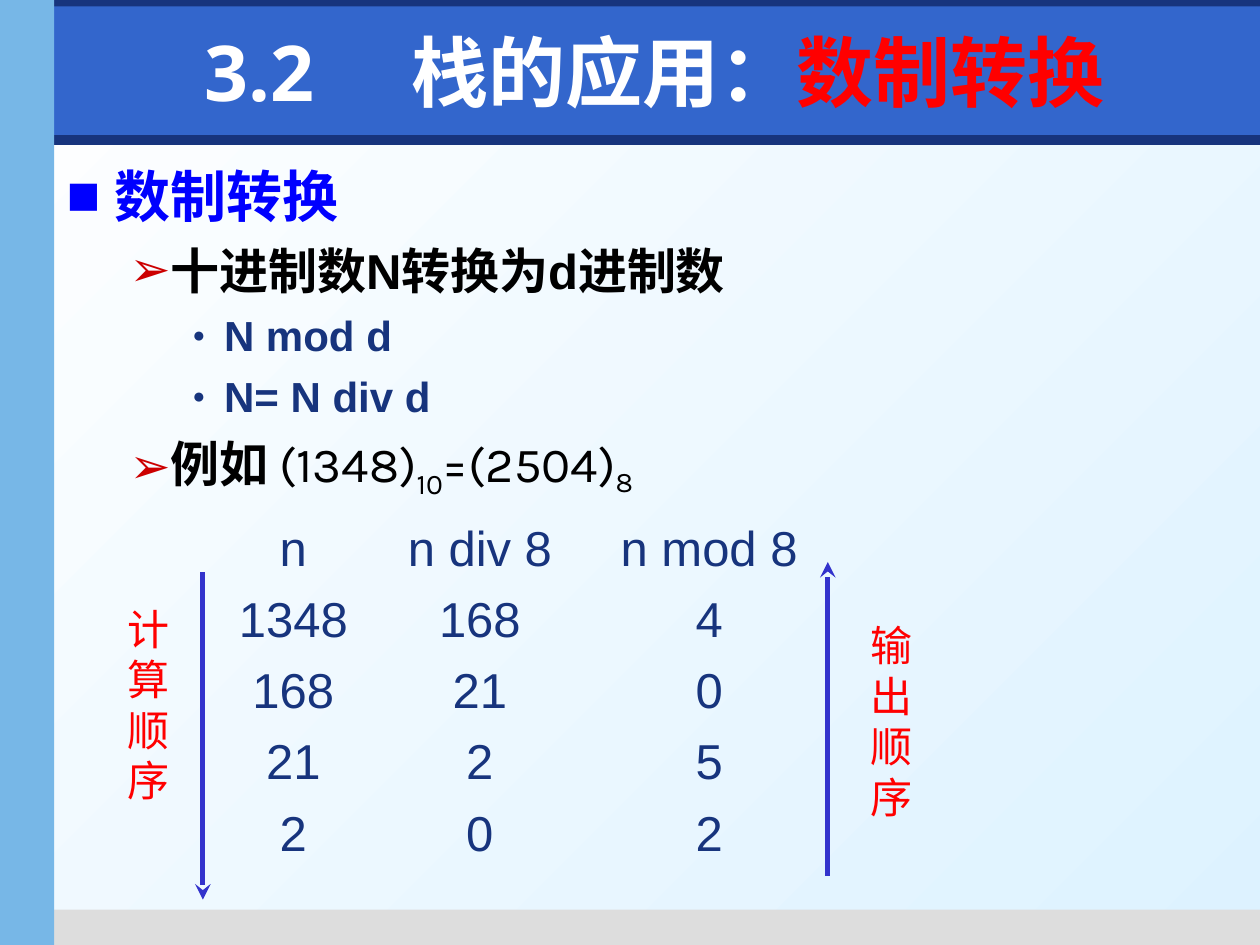
from lxml.etree import SubElement
from pptx import Presentation
from pptx.dml.color import RGBColor
from pptx.enum.shapes import MSO_CONNECTOR, MSO_SHAPE
from pptx.enum.text import MSO_ANCHOR, MSO_AUTO_SIZE, PP_ALIGN
from pptx.oxml.ns import qn
from pptx.util import Inches, Pt

COLUMNS, ROWS = 100, 75
WIDTH, HEIGHT = Inches(10), Inches(7.5)
NAVY, BLUE, RED = "17347D", "0000FF", "FF0000"
SIDEBAR = 4.3
TAB_STOPS = (15.6, 30.4, 48.6)

BARS = [
    (SIDEBAR, 10.7, COLUMNS - SIDEBAR, 0.8, NAVY),
    (SIDEBAR, 72.2, COLUMNS - SIDEBAR, 2.8, "DDDDDD"),
    (SIDEBAR, 0, COLUMNS - SIDEBAR, 2.1, NAVY),
    (SIDEBAR, 0.5, COLUMNS - SIDEBAR, 10.2, "3366CC"),
    (0, 0, SIDEBAR, ROWS, "77B7E7"),
]
# Each level: size, text colour, bullet, bullet colour, bullet percent, margin, hanging
LEVELS = [
    (32, BLUE, "■", BLUE, 100, 3.8, 3.8),
    (28, "000000", "➢", "CC0000", 100, 8.1, 3.1),
    (24, NAVY, "●", NAVY, 50, 12.5, 2.5),
]
OUTLINE = [
    (0, "数制转换"),
    (1, "十进制数N转换为d进制数"),
    (2, "N mod d"),
    (2, "N= N div d"),
    (1, "例如 "),
]
# Each part: text, baseline shift in percent
EQUATION = [("(1348)", 0), ("10", -25), ("=(2504)", 0), ("8", -20)]
DIVISIONS = [
    ("n", "n div 8", "n mod 8"),
    ("1348", "168", "4"),
    ("168", "21", "0"),
    ("21", "2", "5"),
    ("2", "0", "2"),
]


def column(count):
    """Return the width of a number of grid columns."""
    return round(WIDTH * count / COLUMNS)


def row(count):
    """Return the height of a number of grid rows."""
    return round(HEIGHT * count / ROWS)


def box(left, top, width, height):
    """Return a grid rectangle as slide lengths."""
    return column(left), row(top), column(width), row(height)


def color(value):
    """Turn a hex string into a colour."""
    return RGBColor.from_string(value)


def set_font(font, name, size, value, bold=False):
    """Set the typeface, size, colour and weight of a font."""
    font.name, font.size, font.bold = name, Pt(size), bold
    font.color.rgb = color(value)


def add_bar(slide, left, top, width, height, value):
    """Add a plain filled rectangle."""
    shape = slide.shapes.add_shape(MSO_SHAPE.RECTANGLE, *box(left, top, width, height))
    shape.shadow.inherit = False
    shape.fill.solid()
    shape.fill.fore_color.rgb = color(value)
    shape.line.fill.background()


def add_text(slide, *place):
    """Add a wrapping text box and return its text frame."""
    frame = slide.shapes.add_textbox(*box(*place)).text_frame
    frame.word_wrap = True
    return frame


def next_paragraph(frame, index):
    """Return the first paragraph, or a new one after it."""
    return frame.add_paragraph() if index else frame.paragraphs[0]


def set_background(slide):
    """Fill the slide with a diagonal gradient."""
    fill = slide.background.fill
    fill.gradient()
    fill.gradient_angle = 315
    for stop, position, value in zip(fill.gradient_stops, (0, 1), ("FFFFFF", "DDF2FF")):
        stop.position = position
        stop.color.rgb = color(value)


def set_title(slide):
    """Place the title in front of the bars and colour its two parts."""
    title = slide.shapes.title
    title.element.getparent().append(title.element)
    title.left, title.top, title.width, title.height = box(5.9, 1.3, 92.1, 8.7)
    frame = title.text_frame
    frame.word_wrap = True
    frame.auto_size = MSO_AUTO_SIZE.NONE
    frame.vertical_anchor = MSO_ANCHOR.MIDDLE
    paragraph = frame.paragraphs[0]
    paragraph.alignment = PP_ALIGN.CENTER
    for text, value in (("3.2 \u3000栈的应用:".replace(":", "："), "FFFFFF"), ("数制转换", RED)):
        run = paragraph.add_run()
        run.text = text
        set_font(run.font, "Open Sans", 44, value, True)


def set_bullet(paragraph, character, value, percent, margin, hanging):
    """Give a paragraph a coloured bullet and a hanging indent."""
    properties = paragraph._p.get_or_add_pPr()
    properties.set("marL", str(column(margin)))
    properties.set("indent", str(-column(hanging)))
    holder = SubElement(properties, qn("a:buClr"))
    SubElement(holder, qn("a:srgbClr"), val=value)
    SubElement(properties, qn("a:buSzPct"), val=str(percent * 1000))
    SubElement(properties, qn("a:buFont"), typeface="Arial")
    SubElement(properties, qn("a:buChar"), char=character)


def add_outline(slide):
    """Add the bulleted outline, which ends in the worked equation."""
    frame = add_text(slide, SIDEBAR, 12.3, 93.7, 59)
    for index, (level, text) in enumerate(OUTLINE):
        size, value, *bullet = LEVELS[level]
        paragraph = next_paragraph(frame, index)
        paragraph.level = level
        paragraph.space_before = Pt(size / 4)
        set_bullet(paragraph, *bullet)
        run = paragraph.add_run()
        run.text = text
        set_font(run.font, "Arial", size, value, True)
    run.font.name = "Karla"
    for text, shift in EQUATION:
        run = paragraph.add_run()
        run.text = text
        set_font(run.font, "Karla", size, value)
        if shift:
            run._r.get_or_add_rPr().set("baseline", str(shift * 1000))


def add_divisions(slide):
    """Add the division steps in columns centred on tab stops."""
    frame = add_text(slide, 6.7, 40.6, 70, 29)
    for index, values in enumerate(DIVISIONS):
        paragraph = next_paragraph(frame, index)
        paragraph.space_before = Pt(7)
        tabs = SubElement(paragraph._p.get_or_add_pPr(), qn("a:tabLst"))
        for stop in TAB_STOPS:
            SubElement(tabs, qn("a:tab"), pos=str(column(stop)), algn="ctr")
        run = paragraph.add_run()
        run.text = "".join("\t" + value for value in values)
        set_font(run.font, "Arial", 28, NAVY)


def add_arrow(slide, left, start, end):
    """Add a vertical arrow that points to its end row."""
    arrow = slide.shapes.add_connector(
        MSO_CONNECTOR.STRAIGHT, column(left), row(start), column(left), row(end))
    arrow.line.color.rgb = color("3333CC")
    arrow.line.width = Pt(3)
    SubElement(arrow.line._get_or_add_ln(), qn("a:tailEnd"), type="stealth")
    SubElement(arrow._element.spPr, qn("a:effectLst"))


def add_label(slide, left, top, text):
    """Add a narrow label that wraps to one character a line."""
    paragraph = add_text(slide, left, top, 6.8, 17.2).paragraphs[0]
    run = paragraph.add_run()
    run.text = text
    set_font(run.font, "Times New Roman", 24, RED)


def main():
    """Build the slide and save it."""
    presentation = Presentation()
    presentation.slide_width, presentation.slide_height = WIDTH, HEIGHT
    slide = presentation.slides.add_slide(presentation.slide_layouts[5])
    set_background(slide)
    for bar in BARS:
        add_bar(slide, *bar)
    set_title(slide)
    add_outline(slide)
    add_divisions(slide)
    add_arrow(slide, 16.1, 45.4, 71.4)
    add_label(slide, 9.1, 47.4, "计算顺序")
    add_arrow(slide, 65.7, 69.5, 44.6)
    add_label(slide, 68.1, 48.7, "输出顺序")
    presentation.save("out.pptx")


main()
